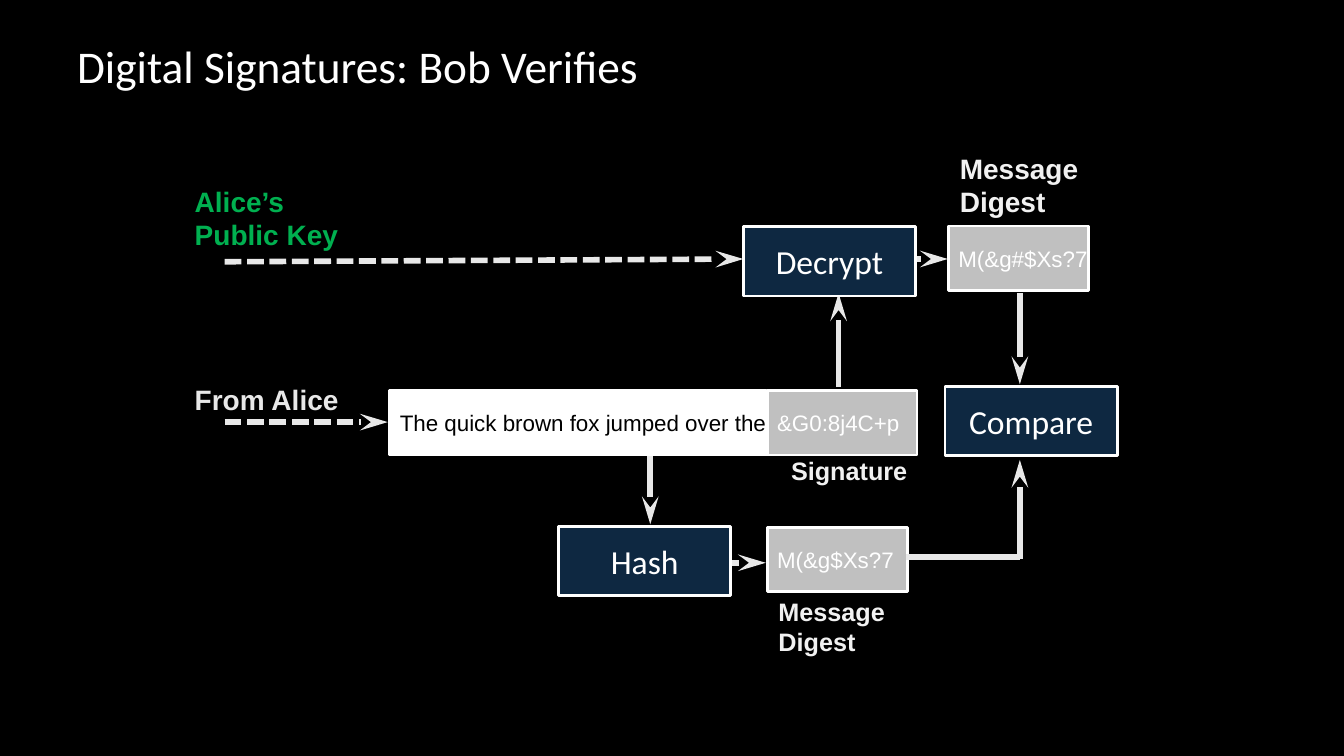
from lxml.etree import SubElement
from pptx import Presentation
from pptx.dml.color import RGBColor
from pptx.enum.dml import MSO_LINE
from pptx.enum.shapes import MSO_CONNECTOR, MSO_SHAPE
from pptx.enum.text import MSO_ANCHOR, MSO_AUTO_SIZE, PP_ALIGN
from pptx.oxml.ns import qn
from pptx.util import Pt

WHITE, BLACK, NAVY, GREY = "FFFFFF", "000000", "0E2841", "C0C0C0"
PALE, LABEL, GREEN = "E8E8E8", "F1F1F1", "00B050"

TITLE = {"name": "Calibri", "size": Pt(32.4)}
STEP = {"name": "Calibri", "size": Pt(24)}
DATA = {"name": "Arial", "size": Pt(16)}
CAPTION = {"name": "Arial", "size": Pt(18), "bold": True}
HEADING = {"name": "Arial", "size": Pt(20), "bold": True}

STEP_SIZE = (123, 49.5)
DATA_HEIGHT = 46
DIGEST_WIDTH = 100


def color(value):
    return RGBColor.from_string(value)


def write(frame, text, style, text_color, align=PP_ALIGN.LEFT):
    """Fill a text frame; a vertical tab in the text is a line break."""
    frame.text = text
    for paragraph in frame.paragraphs:
        paragraph.alignment = align
        for run in paragraph.runs:
            for name, value in style.items():
                setattr(run.font, name, value)
            run.font.color.rgb = color(text_color)


def add_text(slide, text, left, top, width, height, style, text_color, wrap=False):
    box = slide.shapes.add_textbox(Pt(left), Pt(top), Pt(width), Pt(height))
    frame = box.text_frame
    write(frame, text, style, text_color)
    frame.word_wrap = wrap
    frame.auto_size = MSO_AUTO_SIZE.SHAPE_TO_FIT_TEXT
    return box


def add_box(slide, left, top, width, height, fill):
    shape = slide.shapes.add_shape(
        MSO_SHAPE.RECTANGLE, Pt(left), Pt(top), Pt(width), Pt(height))
    shape.shadow.inherit = False
    shape.fill.solid()
    shape.fill.fore_color.rgb = color(fill)
    shape.line.color.rgb = color(WHITE)
    shape.line.width = Pt(2)
    shape.text_frame.vertical_anchor = MSO_ANCHOR.MIDDLE
    return shape


def add_step(slide, text, left, top):
    shape = add_box(slide, left, top, *STEP_SIZE, NAVY)
    write(shape.text_frame, text, STEP, WHITE, PP_ALIGN.CENTER)


def add_data(slide, text, left, top, width, fill=GREY, text_color=WHITE):
    shape = add_box(slide, left, top, width, DATA_HEIGHT, fill)
    shape.text_frame.word_wrap = False
    shape.text_frame.margin_right = 0
    write(shape.text_frame, text, DATA, text_color)


def add_flow(slide, start, end, dashed=False, arrow=True):
    line = slide.shapes.add_connector(
        MSO_CONNECTOR.STRAIGHT, *(Pt(value) for value in start + end))
    line.line.color.rgb = color(PALE)
    line.line.width = Pt(4)
    if dashed:
        line.line.dash_style = MSO_LINE.SQUARE_DOT
    properties = line._element.spPr
    if arrow:
        SubElement(properties.find(qn("a:ln")), qn("a:tailEnd"),
                   {"type": "stealth", "w": "med", "len": "lg"})
    SubElement(properties, qn("a:effectLst"))


def main():
    presentation = Presentation()
    presentation.slide_width, presentation.slide_height = Pt(960), Pt(540)
    slide = presentation.slides.add_slide(presentation.slide_layouts[6])
    slide.background.fill.solid()
    slide.background.fill.fore_color.rgb = color(BLACK)

    # Title
    title = add_text(slide, "Digital Signatures: Bob Verifies",
                     48, 21.5, 864, 50.5, TITLE, WHITE, wrap=True)
    title.text_frame.auto_size = MSO_AUTO_SIZE.NONE
    title.text_frame.vertical_anchor = MSO_ANCHOR.MIDDLE

    # Decryption with the public key
    add_flow(slide, (599, 276.5), (599, 209.5))
    add_flow(slide, (160.5, 187), (531, 185), dashed=True)
    add_text(slide, "Message\vDigest", 678.5, 104.5, 100, 55.5, HEADING, LABEL)
    add_data(slide, "M(&g#$Xs?7", 677.5, 161.5, DIGEST_WIDTH)
    add_flow(slide, (654, 185), (677, 185))

    # Received message and its signature
    add_flow(slide, (160.5, 301.5), (277, 301.5), dashed=True)
    add_data(slide, "The quick brown fox jumped over the",
             278.5, 279, 269, WHITE, BLACK)
    add_data(slide, "&G0:8j4C+p", 548, 279, 107)
    add_text(slide, "Signature", 558, 321.5, 98.5, 29, CAPTION, LABEL)

    # Hashing of the message
    add_flow(slide, (464.5, 326), (464.5, 374.5))
    add_text(slide, "Message\vDigest", 549, 422.5, 91.5, 51, CAPTION, LABEL)
    add_flow(slide, (517.5, 402), (547, 402))
    add_data(slide, "M(&g$Xs?7", 548, 376.5, DIGEST_WIDTH)

    # Both digests lead to the comparison
    add_flow(slide, (647.5, 398), (728.5, 398), arrow=False)
    add_flow(slide, (728.5, 399), (728.5, 328.5))
    add_flow(slide, (728.5, 209.5), (728.5, 274.5))

    # Processing steps
    add_step(slide, "Hash", 399, 376)
    add_step(slide, "Compare", 675, 276)
    add_step(slide, "Decrypt", 531, 162)

    # Inputs
    add_text(slide, "From Alice", 132, 269.5, 144, 31.5, HEADING, PALE, wrap=True)
    add_text(slide, "Alice’s\nPublic Key", 132, 128, 118, 55.5, HEADING, GREEN)

    presentation.save("out.pptx")


if __name__ == "__main__":
    main()
